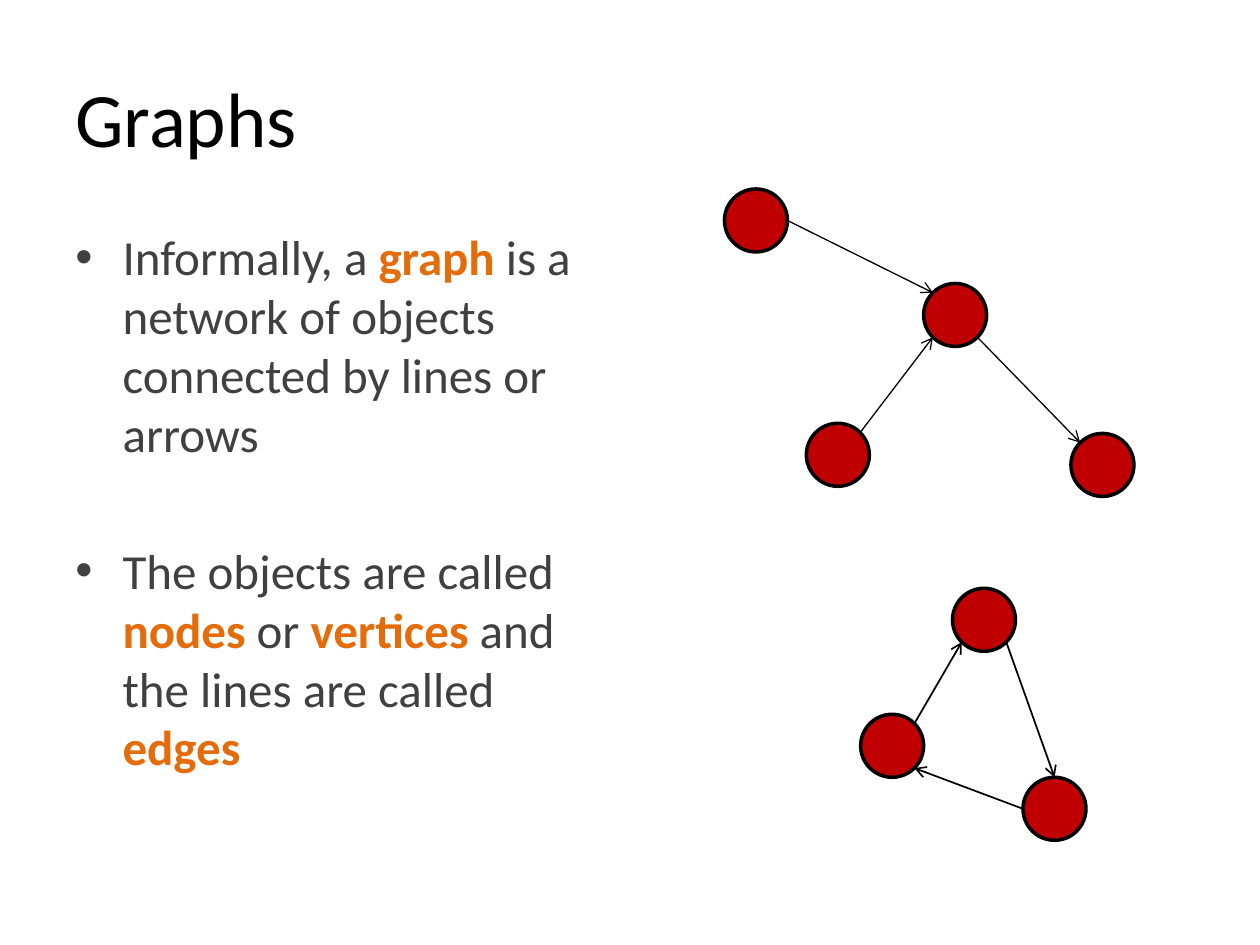
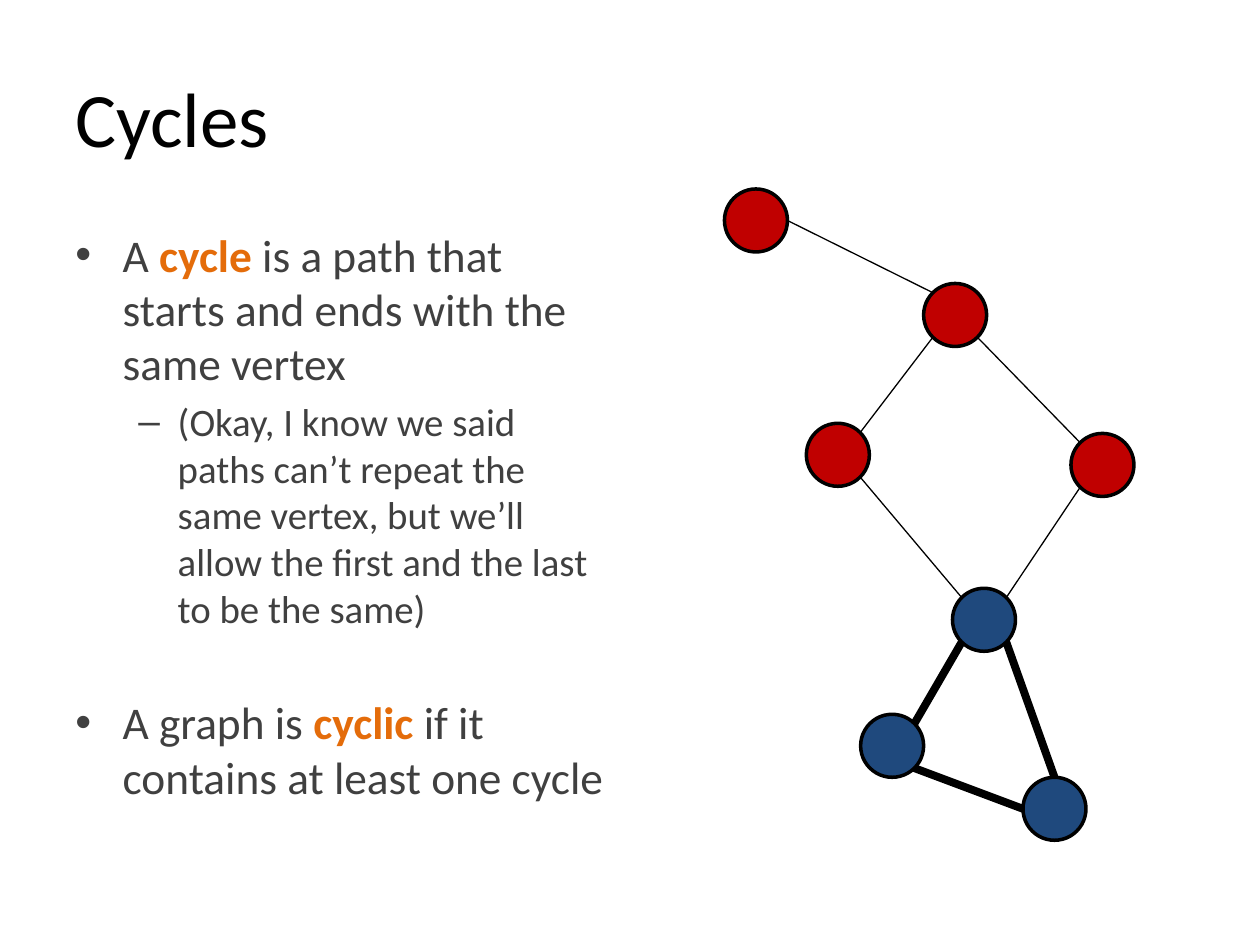
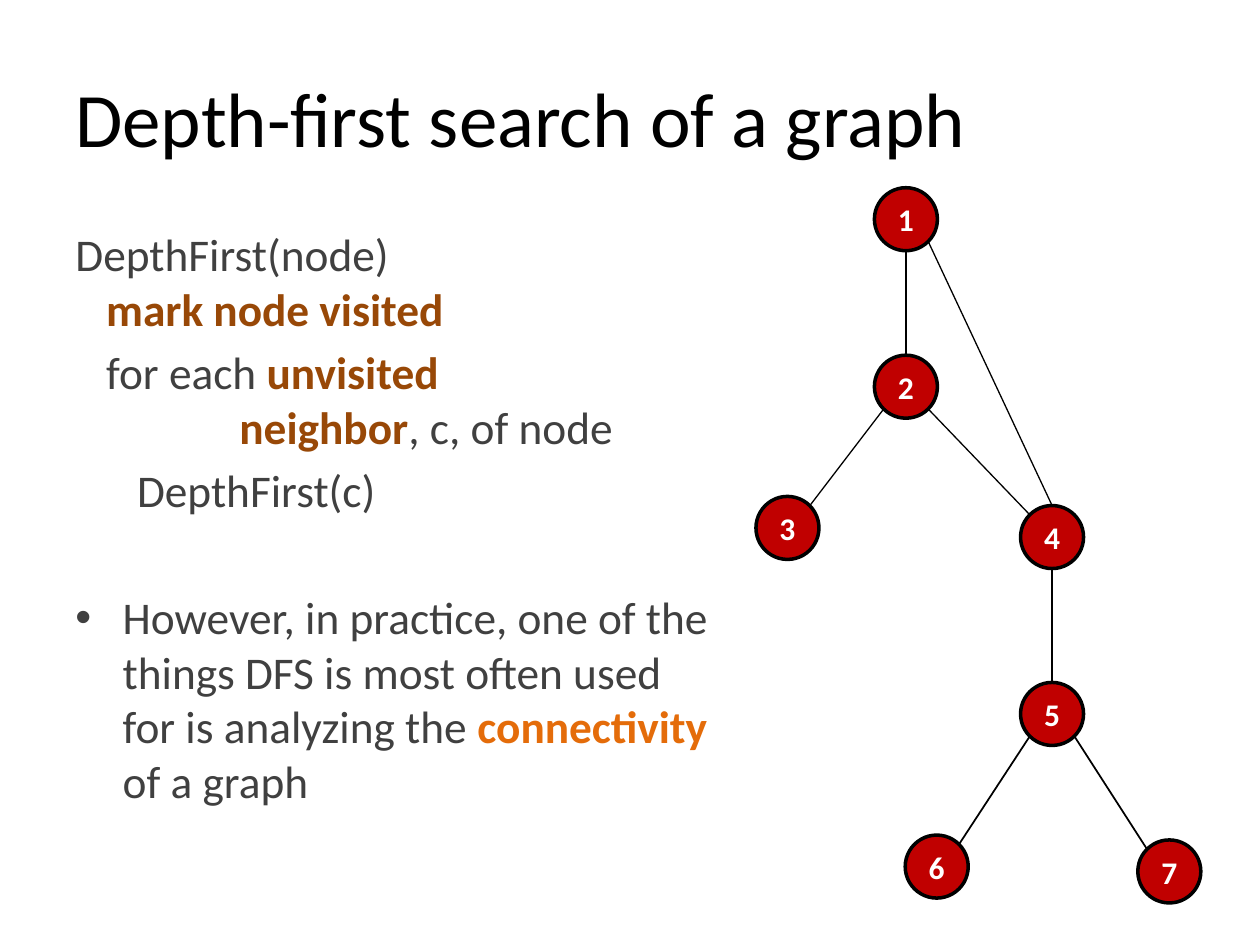
from math import sqrt

from lxml.etree import SubElement
from pptx import Presentation
from pptx.dml.color import RGBColor
from pptx.enum.shapes import MSO_CONNECTOR, MSO_SHAPE
from pptx.enum.text import MSO_ANCHOR, PP_ALIGN
from pptx.oxml.ns import qn
from pptx.util import Pt

BLACK = RGBColor(0x00, 0x00, 0x00)
WHITE = RGBColor(0xFF, 0xFF, 0xFF)
GREY = RGBColor(0x40, 0x40, 0x40)
ORANGE = RGBColor(0xE4, 0x6C, 0x0A)
BROWN = RGBColor(0x98, 0x48, 0x07)
RED = RGBColor(0xC0, 0x00, 0x00)
BLUE = RGBColor(0x1F, 0x49, 0x7D)

FONT = "Calibri"
TITLE_BOX = (36, 21.6, 648, 90)
NODE = 36
THIN, MEDIUM, THICK = 0.75, 1, 4.5

# Bullet character, left margin, first-line indent
TOP = ("•", 27, -27)
SUB = ("–", 58.5, -22.5)


def code(margin):
    return (None, margin, 0)


# Left and top of each node; edges give node, side, node, side, width
NETWORK = {"A": (414, 108), "B": (527.8, 162), "C": (460.8, 241.9), "D": (544.3, 336.2),
           "E": (612, 247.7), "F": (584.6, 444.2), "G": (491.8, 408.2)}
TREE = {"1": (499.7, 107.3), "2": (499.7, 203), "3": (432, 283.7), "4": (583.2, 288.9),
        "5": (583.2, 390), "6": (517.3, 477.2), "7": (650.2, 480)}
TRIANGLE = [("D", "SE", "F", "N"), ("F", "W", "G", "SE"), ("G", "NE", "D", "SW")]
BRANCHES = [("A", "E", "B", "NW"), ("C", "NE", "B", "SW"), ("B", "SE", "E", "NW")]
CLOSING = [("C", "SE", "D", "NW"), ("E", "SW", "D", "NE")]
TREE_THIN = [("3", "NE", "2", "SW"), ("2", "SE", "4", "NW"), ("1", "S", "2", "N"),
             ("4", "S", "5", "N"), ("4", "N", "1", "SE")]
TREE_MEDIUM = [("5", "SE", "7", "NW"), ("6", "NE", "5", "SW")]

# Body paragraphs: level, size, size of the blank line above (None: no space), runs
SLIDES = [
    dict(title="Graphs", body_box=(36, 126, 318, 356.4), nodes=NETWORK, arrows=True,
         edges=[(TRIANGLE, MEDIUM), (BRANCHES, THIN)],
         body=[
             (TOP, 28, 0, ["Informally, a ", ("graph ", ORANGE),
                           "is a network of objects connected by lines or arrows"]),
             (TOP, 28, 28, ["The objects are called ", ("nodes ", ORANGE), "or ",
                            ("vertices ", ORANGE), "and the lines are called ",
                            ("edges", ORANGE)]),
         ]),
    dict(title="Cycles", body_box=(36, 126, 318, 356.4), nodes=NETWORK, blue="DFG",
         edges=[(TRIANGLE, THICK), (BRANCHES + CLOSING, THIN)],
         body=[
             (TOP, 25.9, 0, ["A ", ("cycle ", ORANGE),
                             "is a path that starts and ends with the same vertex"]),
             (SUB, 22.2, 0, ["(Okay, I know we said paths can’t repeat the same vertex, "
                             "but we’ll allow the first and the last to be the same)"]),
             (TOP, 25.9, 22.2, ["A graph is ", ("cyclic ", ORANGE),
                                "if it contains at least one cycle"]),
         ]),
    dict(title="Depth-first search of a graph", body_box=(36, 126, 378, 311.8),
         nodes=TREE, labels=True, edges=[(TREE_MEDIUM, MEDIUM), (TREE_THIN, THIN)],
         body=[
             (code(0), 25.9, 0, ["DepthFirst(node)"]),
             (code(17.6), 25.9, None, [("mark node visited", BROWN)]),
             (code(17.6), 25.9, 0, ["for each ", ("unvisited", BROWN)]),
             (code(93.7), 25.9, None, [("neighbor", BROWN), ", c, of node"]),
             (code(35.2), 25.9, 0, ["DepthFirst(c)"]),
             (TOP, 25.9, 25.9, ["However, in practice, one of the things DFS is most often "
                                "used for is analyzing the ", ("connectivity ", ORANGE),
                                "of a graph"]),
         ]),
]


def add_run(p, text, size=28, color=GREY, bold=False):
    r = p.add_run()
    r.text = text
    r.font.name, r.font.size, r.font.bold = FONT, Pt(size), bold
    r.font.color.rgb = color


def text_frame(s, box, anchor):
    tf = s.shapes.add_textbox(*map(Pt, box)).text_frame
    tf.word_wrap = True
    tf.vertical_anchor = anchor
    return tf


def set_level(p, level):
    bullet, margin, indent = level
    pPr = p._p.get_or_add_pPr()
    pPr.set("marL", str(Pt(margin)))
    pPr.set("indent", str(Pt(indent)))
    if bullet:
        SubElement(pPr, qn("a:buFont")).set("typeface", "Arial")
        SubElement(pPr, qn("a:buChar")).set("char", bullet)
    else:
        SubElement(pPr, qn("a:buNone"))


def add_body(s, box, paragraphs):
    tf = text_frame(s, box, MSO_ANCHOR.TOP)
    for i, (level, size, blank, runs) in enumerate(paragraphs):
        p = tf.add_paragraph() if i else tf.paragraphs[0]
        p.space_before = Pt(0 if blank is None else 0.2 * size + 1.4 * blank)
        set_level(p, level)
        for run in runs:
            if isinstance(run, str):
                add_run(p, run, size=size)
            else:
                add_run(p, run[0], size=size, color=run[1], bold=True)


def add_node(s, left, top, color, label):
    sp = s.shapes.add_shape(MSO_SHAPE.OVAL, Pt(left), Pt(top), Pt(NODE), Pt(NODE))
    sp.shadow.inherit = False
    sp.fill.solid()
    sp.fill.fore_color.rgb = color
    sp.line.color.rgb = BLACK
    sp.line.width = Pt(2)
    if label:
        tf = sp.text_frame
        tf.word_wrap = False
        tf.vertical_anchor = MSO_ANCHOR.MIDDLE
        p = tf.paragraphs[0]
        p.alignment = PP_ALIGN.CENTER
        add_run(p, label, size=18, color=WHITE, bold=True)


def rim_point(corner, side):
    """Point of a node's circle at a compass side such as N or SE."""
    dx = ("E" in side) - ("W" in side)
    dy = ("S" in side) - ("N" in side)
    reach = NODE / 2 / sqrt(len(side))
    return [Pt(c + NODE / 2 + d * reach) for c, d in zip(corner, (dx, dy))]


def add_edge(s, start, end, width, arrow):
    line = s.shapes.add_connector(MSO_CONNECTOR.STRAIGHT, *start, *end)
    line.line.color.rgb = BLACK
    line.line.width = Pt(width)
    if arrow:
        SubElement(line.line._get_or_add_ln(), qn("a:tailEnd")).set("type", "arrow")
    SubElement(line._element.spPr, qn("a:effectLst"))


def add_graph(s, nodes, edges, blue="", labels=False, arrows=False):
    for name, corner in nodes.items():
        add_node(s, *corner, BLUE if name in blue else RED, name if labels else None)
    for group, width in edges:
        for a, a_side, b, b_side in group:
            add_edge(s, rim_point(nodes[a], a_side), rim_point(nodes[b], b_side),
                     width, arrows)


def main():
    prs = Presentation()
    prs.slide_width, prs.slide_height = Pt(720), Pt(540)
    for content in SLIDES:
        graph = dict(content)
        s = prs.slides.add_slide(prs.slide_layouts[6])
        title = text_frame(s, TITLE_BOX, MSO_ANCHOR.MIDDLE)
        add_run(title.paragraphs[0], graph.pop("title"), size=44, color=BLACK)
        add_body(s, graph.pop("body_box"), graph.pop("body"))
        add_graph(s, **graph)
    prs.save("out.pptx")


if __name__ == "__main__":
    main()
